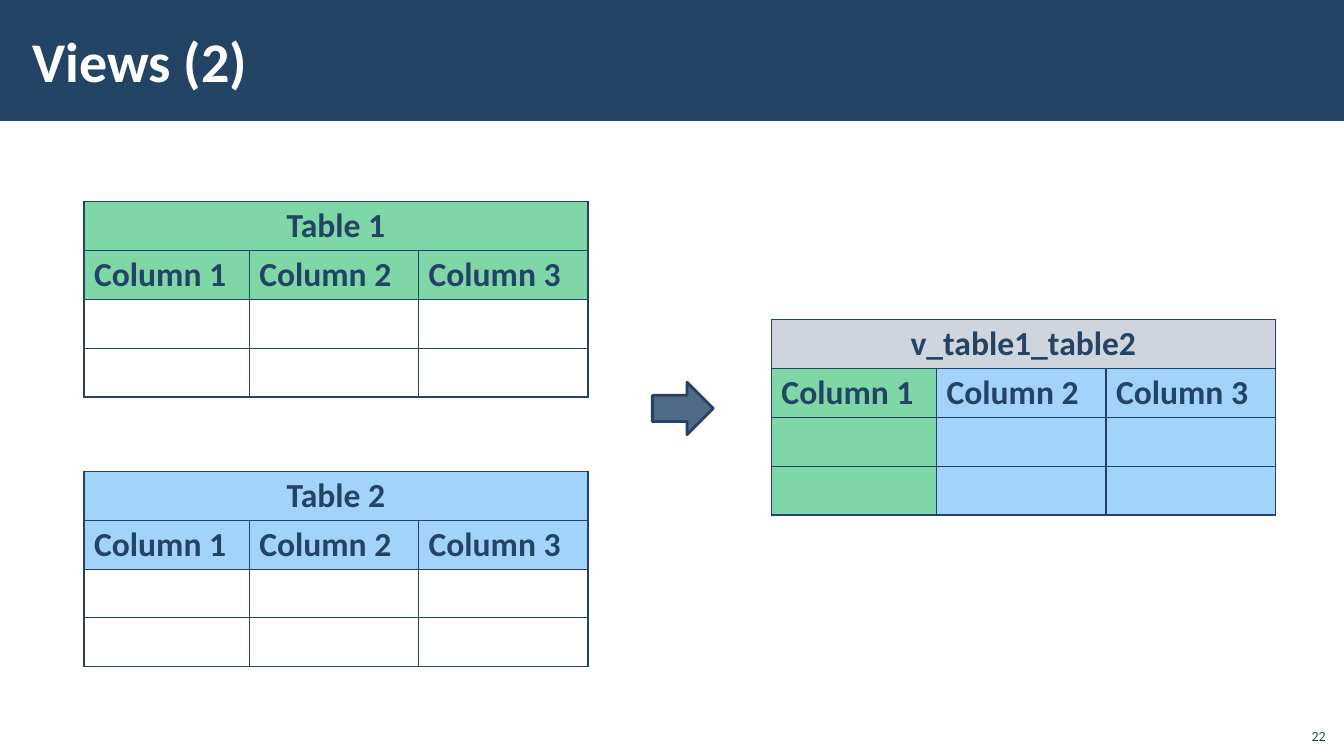
"""Build the slide "Views (2)": two source tables combined into one view."""
from lxml import etree
from pptx import Presentation
from pptx import util as u
from pptx.dml.color import RGBColor
from pptx.enum import shapes, text
from pptx.oxml.ns import qn

COLORS = {"navy": "234465", "white": "FFFFFF", "arrow": "4F6987",
          "green": "00B050", "blue": "44A9F8", "gray": "A3ABBC"}
FONT = "Calibri"
TITLE = "Views (2)"
PAGE_NUMBER = "22"
COLUMNS = ["Column 1", "Column 2", "Column 3"]
MIXED = ["green", "blue", "blue"]
TABLES = [
    {"name": "Table 2", "at": (60, 336.5), "name_tint": "blue",
     "header_tints": ["blue"] * 3, "body_tints": [None] * 3},
    {"name": "Table 1", "at": (60, 144), "name_tint": "green",
     "header_tints": ["green"] * 3, "body_tints": [None] * 3},
    {"name": "v_table1_table2", "at": (551, 228.2), "name_tint": "gray",
     "header_tints": MIXED, "body_tints": MIXED},
]
COLUMN_WIDTHS = [118, 121, 121]
ROW_HEIGHT = 34.8
ROW_COUNT = 4


def rgb(name):
    return RGBColor.from_string(COLORS[name])


def place(part, left, top, width, height):
    part.left, part.top = u.Pt(left), u.Pt(top)
    part.width, part.height = u.Pt(width), u.Pt(height)


def write(frame, words, size, color, bold=False, align=None):
    paragraph = frame.paragraphs[0]
    paragraph.alignment = align
    run = paragraph.add_run()
    run.text = words
    run.font.name, run.font.size, run.font.bold = FONT, u.Pt(size), bold
    run.font.color.rgb = rgb(color)
    return paragraph


def add_preset(slide, kind, box, fill, outline=None):
    preset = slide.shapes.add_shape(kind, *[u.Pt(length) for length in box])
    preset.shadow.inherit = False
    preset.fill.solid()
    preset.fill.fore_color.rgb = rgb(fill)
    if outline:
        preset.line.color.rgb = rgb(outline)
        preset.line.width = u.Pt(2)
    else:
        preset.line.fill.background()


def style_cell(cell, tint):
    properties = cell._tc.get_or_add_tcPr()
    for side in ("a:lnL", "a:lnR", "a:lnT", "a:lnB"):
        border = etree.SubElement(properties, qn(side), w=str(u.Pt(1)))
        solid = etree.SubElement(border, qn("a:solidFill"))
        etree.SubElement(solid, qn("a:srgbClr"), val=COLORS["navy"])
    if tint:
        cell.fill.solid()
        cell.fill.fore_color.rgb = rgb(tint)
        shade = properties.find(qn("a:solidFill")).find(qn("a:srgbClr"))
        etree.SubElement(shade, qn("a:alpha"), val="50000")
    else:
        cell.fill.background()


def add_data_table(slide, content):
    left, top = content["at"]
    grid = slide.shapes.add_table(
        ROW_COUNT, len(COLUMNS), u.Pt(left), u.Pt(top),
        u.Pt(sum(COLUMN_WIDTHS)), u.Pt(ROW_HEIGHT * ROW_COUNT)).table
    grid.first_row = grid.horz_banding = False
    for column, width in zip(grid.columns, COLUMN_WIDTHS):
        column.width = u.Pt(width)
    body = content["body_tints"]
    tints = [[content["name_tint"]] * 3, content["header_tints"], body, body]
    for r, row_tints in enumerate(tints):
        grid.rows[r].height = u.Pt(ROW_HEIGHT)
        for c, tint in enumerate(row_tints):
            style_cell(grid.cell(r, c), tint)
    grid.cell(0, 0).merge(grid.cell(0, len(COLUMNS) - 1))
    labels = [(0, 0, content["name"], text.PP_ALIGN.CENTER)]
    labels += [(1, c, label, None) for c, label in enumerate(COLUMNS)]
    for r, c, label, align in labels:
        paragraph = write(grid.cell(r, c).text_frame, label, 24, "navy", True, align)
        paragraph.line_spacing = 0.95


def main():
    deck = Presentation()
    deck.slide_width, deck.slide_height = u.Pt(960), u.Pt(540)
    slide = deck.slides.add_slide(deck.slide_layouts[5])

    add_preset(slide, shapes.MSO_SHAPE.RECTANGLE, (0, 0, 960, 86.4), "navy")
    heading = slide.shapes.title
    slide.shapes._spTree.append(heading._element)
    place(heading, 15, 8, 765, 70)
    frame = heading.text_frame
    frame.vertical_anchor = text.MSO_ANCHOR.MIDDLE
    frame.margin_left = frame.margin_right = u.Pt(8.5)
    frame.margin_top = frame.margin_bottom = u.Pt(3)
    write(frame, TITLE, 40, "white", True, text.PP_ALIGN.LEFT)

    for content in TABLES:
        add_data_table(slide, content)
    add_preset(slide, shapes.MSO_SHAPE.RIGHT_ARROW, (466, 273, 43.5, 37.5),
               "arrow", "navy")

    page = slide.shapes.add_textbox(u.Pt(925), u.Pt(512.5), u.Pt(29), u.Pt(23))
    page.text_frame.word_wrap = True
    page.text_frame.vertical_anchor = text.MSO_ANCHOR.BOTTOM
    write(page.text_frame, PAGE_NUMBER, 10, "navy", align=text.PP_ALIGN.RIGHT)
    deck.save("out.pptx")


if __name__ == "__main__":
    main()
